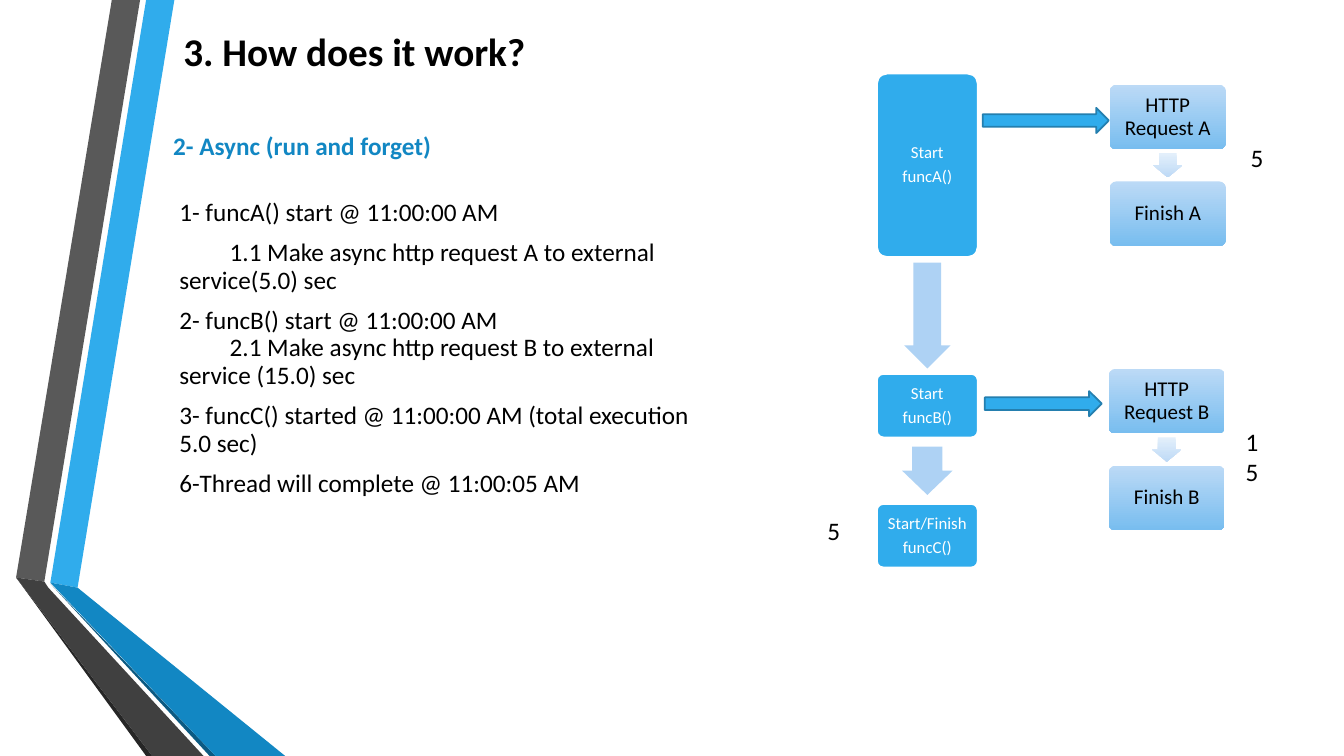
from lxml import etree
from pptx import Presentation
from pptx.dml.color import RGBColor
from pptx.enum.shapes import MSO_SHAPE as Preset
from pptx.enum.text import MSO_ANCHOR as Anchor, PP_ALIGN as Align
from pptx.oxml.ns import qn
from pptx.util import Inches, Pt

# The page is a grid of cells, each a tenth of an inch.
CELL = Inches(0.1)
PAGE_COLS, PAGE_ROWS = 133.33, 75

BLACK = RGBColor(0x00, 0x00, 0x00)
WHITE = RGBColor(0xFF, 0xFF, 0xFF)
SKY = RGBColor(0x30, 0xAC, 0xEC)
SKY_EDGE = RGBColor(0x24, 0x7F, 0xAF)
BLUE = RGBColor(0x12, 0x87, 0xC3)
NAVY = RGBColor(0x0C, 0x5A, 0x82)
PALE = RGBColor(0xAE, 0xD2, 0xF4)
GREY = RGBColor(0x59, 0x59, 0x59)
DARK_GREY = RGBColor(0x40, 0x40, 0x40)
CHARCOAL = RGBColor(0x26, 0x26, 0x26)
BOX_SHADES = RGBColor(0xBC, 0xDA, 0xF6), RGBColor(0x78, 0xBD, 0xEF)
ARROW_SHADES = RGBColor(0xE3, 0xEF, 0xFB), RGBColor(0xBE, 0xDA, 0xF6)

RIBBONS = [
    (SKY, [(5, 57.8), (7.7, 58.3), (17.3, 0), (14.5, 0)]),
    (GREY, [(13.9, 0), (11.1, 0), (1.6, 57.3), (4.4, 57.7)]),
    (CHARCOAL, [(1.6, 57.3), (14.5, 75), (15.1, 75)]),
    (NAVY, [(5, 57.9), (20.8, 75), (21.4, 75)]),
    (BLUE, [(5, 57.8), (21.4, 75), (28.3, 75), (7.7, 58.3)]),
    (DARK_GREY, [(20.2, 75), (4.8, 58.3), (4.4, 57.7), (1.6, 57.3), (15.1, 75)]),
]

STEPS = [
    "1- funcA() start @ 11:00:00 AM",
    "\t1.1 Make async http request A to external\vservice(5.0) sec",
    "2- funcB() start @ 11:00:00 AM\v\t2.1 Make async http request B to external service (15.0) sec",
    "3- funcC() started @ 11:00:00 AM (total execution 5.0 sec)",
    "6-Thread will complete @ 11:00:05 AM",
]


def cells(*lengths):
    return [round(length * CELL) for length in lengths]


def write(frame, lines, size=18, color=BLACK, bold=False, align=Align.LEFT,
          anchor=Anchor.TOP, wrap=True, margin=None, spacing=None,
          before=0, after=0, tab=None):
    """Fill a text frame with one paragraph per line; tab is in cells."""
    frame.word_wrap = wrap
    frame.vertical_anchor = anchor
    if margin is not None:
        frame.margin_left = frame.margin_right = Inches(margin)
        frame.margin_top = frame.margin_bottom = Inches(margin)
    for index, line in enumerate(lines):
        para = frame.add_paragraph() if index else frame.paragraphs[0]
        para.text = line
        para.alignment = align
        para.space_before = Pt(before if index else 0)
        para.space_after = Pt(after)
        if spacing:
            para.line_spacing = spacing
        if tab:
            stops = etree.SubElement(para._p.get_or_add_pPr(), qn("a:tabLst"))
            etree.SubElement(stops, qn("a:tab"), pos=str(cells(tab)[0]), algn="l")
        for span in para.runs:
            span.font.name = "Calibri"
            span.font.size = Pt(size)
            span.font.bold = bold
            span.font.color.rgb = color


def add_text(page, box, lines, **style):
    write(page.shapes.add_textbox(*cells(*box)).text_frame, lines, **style)


def paint(shape, fill, edge=None):
    """Colour a shape; a pair of fill colours makes a top-down gradient."""
    shape.shadow.inherit = False
    if isinstance(fill, RGBColor):
        shape.fill.solid()
        shape.fill.fore_color.rgb = fill
    else:
        shape.fill.gradient()
        shape.fill.gradient_angle = 270
        for stop, shade, position in zip(shape.fill.gradient_stops, fill, (0, 1)):
            stop.color.rgb = shade
            stop.position = position
    if edge is None:
        shape.line.fill.background()
    else:
        shape.line.color.rgb = edge
        shape.line.width = Pt(1.25)


def add_preset(page, preset, box, fill, edge=None, adjust=()):
    shape = page.shapes.add_shape(preset, *cells(*box))
    for index, value in enumerate(adjust):
        shape.adjustments[index] = value
    paint(shape, fill, edge)
    return shape


def add_node(page, box, lines, fill, edge=None, **style):
    node = add_preset(page, Preset.ROUNDED_RECTANGLE, box, fill, edge, [0.1])
    write(node.text_frame, lines, align=Align.CENTER, anchor=Anchor.MIDDLE,
          margin=0.05, spacing=0.9, **style)


def add_down_arrow(page, middle, top, width, height, fill):
    box = middle - width / 2, top, width, height
    add_preset(page, Preset.DOWN_ARROW, box, fill, adjust=[0.6, 0.5])


def draw_ribbons(page):
    for color, points in RIBBONS:
        start, *others = [cells(*point) for point in points]
        builder = page.shapes.build_freeform(*start, scale=1.0)
        builder.add_line_segments(others, close=True)
        paint(builder.convert_to_shape(), color)


def draw_explanation(page, left, top, width):
    add_text(page, (left + 1, top, 109.6, 7), ["3. How does it work?"],
             size=28, bold=True, anchor=Anchor.MIDDLE)
    add_text(page, (left, top + 10.9, width - 4.2, 4),
             ["2- Async (run and forget)"], color=BLUE, bold=True)
    add_text(page, (left + 0.6, top + 16.2, width - 1.7, 33.8), STEPS,
             anchor=Anchor.MIDDLE, spacing=0.9, before=3.6, after=6, tab=5)


def draw_main_thread(page, left, top, width):
    """Stack the three functions, with an arrow in each gap."""
    middle = left + width / 2
    nodes = [(0, 18.2, ["Start", "funcA()"]),
             (29.8, 6.3, ["Start", "funcB()"]),
             (42.7, 6.3, ["Start/Finish", "funcC()"])]
    for offset, height, lines in nodes:
        add_node(page, (left, top + offset, width, height), lines, SKY, WHITE,
                 size=12, color=WHITE, after=4.2)
    add_down_arrow(page, middle, top + 18.75, 4.6, 10.5, PALE)
    add_down_arrow(page, middle, top + 37, 5, 4.8, PALE)


def draw_request(page, left, top, width, name):
    """Draw one request, the arrow below it and its finish."""
    height, pitch = 6.4, 9.6
    for row, line in enumerate([f"HTTP\vRequest {name}", f"Finish {name}"]):
        add_node(page, (left, top + row * pitch, width, height), [line],
                 BOX_SHADES, size=15)
    add_down_arrow(page, left + width / 2, top + 6.8, 2.9, 2.4, ARROW_SHADES)


def draw_call(page, left, top, width):
    add_preset(page, Preset.RIGHT_ARROW, (left, top, width, 2.5), SKY, SKY_EDGE)


def draw_seconds(page, left, top, seconds):
    add_text(page, (left, top, 4, 4), [seconds], wrap=False)


def main():
    deck = Presentation()
    deck.slide_width, deck.slide_height = cells(PAGE_COLS, PAGE_ROWS)
    page = deck.slides.add_slide(deck.slide_layouts[6])
    draw_ribbons(page)
    draw_explanation(page, 16.2, 1.5, 57.9)
    draw_main_thread(page, 87, 7.3, 10)
    draw_request(page, 110.1, 8.4, 11.5, "A")
    draw_call(page, 97.5, 10.7, 12.5)
    draw_request(page, 110, 36.6, 11.5, "B")
    draw_call(page, 97.7, 38.8, 11.6)
    draw_seconds(page, 123.1, 13.6, "5")
    draw_seconds(page, 122.6, 41.8, "15")
    draw_seconds(page, 81.1, 50.6, "5")
    deck.save("out.pptx")


if __name__ == "__main__":
    main()
